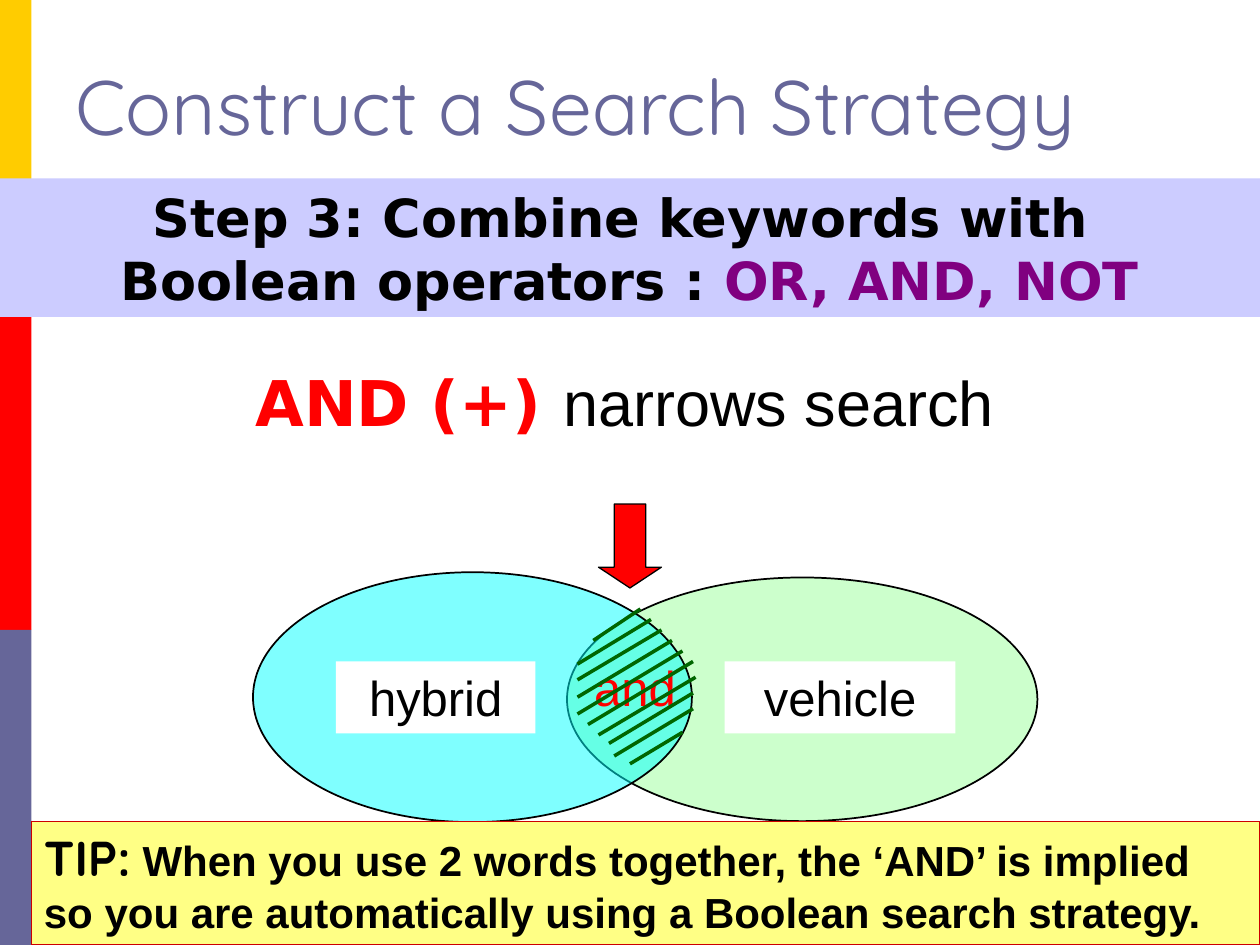
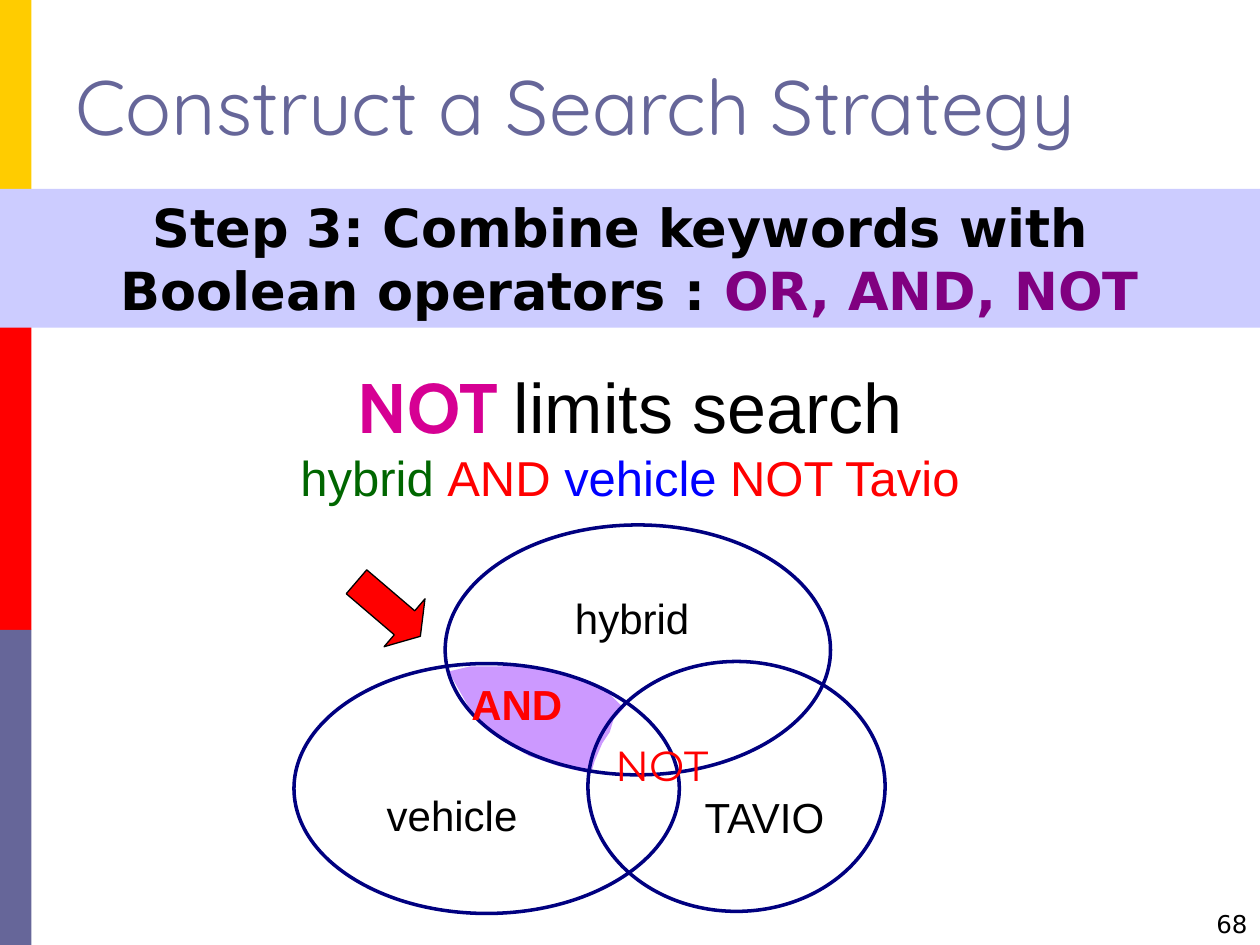
from lxml.etree import SubElement
from pptx import Presentation
from pptx.dml.color import RGBColor
from pptx.enum.shapes import MSO_CONNECTOR, MSO_SHAPE
from pptx.enum.text import MSO_ANCHOR, MSO_AUTO_SIZE, PP_ALIGN
from pptx.oxml.ns import qn
from pptx.util import Inches, Pt

BLACK = RGBColor(0x00, 0x00, 0x00)
WHITE = RGBColor(0xFF, 0xFF, 0xFF)
GOLD = RGBColor(0xFF, 0xCC, 0x00)
RED = RGBColor(0xFF, 0x00, 0x00)
SLATE = RGBColor(0x66, 0x66, 0x99)
LILAC = RGBColor(0xCC, 0xCC, 0xFF)
PURPLE = RGBColor(0x80, 0x00, 0x80)
VIOLET = RGBColor(0xCC, 0x99, 0xFF)
PINK = RGBColor(0xD6, 0x00, 0x93)
MINT = RGBColor(0xCC, 0xFF, 0xCC)
CYAN = RGBColor(0x00, 0xFF, 0xFF)
GREEN = RGBColor(0x00, 0x66, 0x00)
BLUE = RGBColor(0x00, 0x00, 0xFF)
NAVY = RGBColor(0x00, 0x00, 0x80)
LEMON = RGBColor(0xFF, 0xFF, 0x85)
BRICK = RGBColor(0xCC, 0x00, 0x00)

SANS, ARIAL, QUICK = "DejaVu Sans", "Arial", "Quicksand"
LEFT, MID, RIGHT = PP_ALIGN.LEFT, PP_ALIGN.CENTER, PP_ALIGN.RIGHT

deck = Presentation()
deck.slide_width, deck.slide_height = Inches(10), Inches(7.5)
COLS, ROWS = 120, 90
COL, ROW = deck.slide_width / COLS, deck.slide_height / ROWS


def put(page, kind, at, fill=None, line=None, width=1):
    x, y, w, h = at
    area = round(x * COL), round(y * ROW), round(w * COL), round(h * ROW)
    if kind is None:
        return page.shapes.add_textbox(*area)
    shape = page.shapes.add_shape(kind, *area)
    shape.shadow.inherit = False
    if fill is None:
        shape.fill.background()
    else:
        shape.fill.solid()
        shape.fill.fore_color.rgb = fill
    if line is None:
        shape.line.fill.background()
    else:
        shape.line.color.rgb = line
        shape.line.width = Pt(width)
    return shape


def write(shape, rows, align=MID, wrap=True, anchor=MSO_ANCHOR.TOP):
    frame = shape.text_frame
    frame.word_wrap = wrap
    frame.auto_size = MSO_AUTO_SIZE.NONE
    frame.vertical_anchor = anchor
    for i, row in enumerate(rows):
        para = frame.add_paragraph() if i else frame.paragraphs[0]
        para.alignment = align
        for words, size, font, tint, bold in row:
            run = para.add_run()
            run.text = words
            run.font.size = Pt(size)
            run.font.name = font
            run.font.color.rgb = tint
            run.font.bold = bold


pages = []
for layout, top in ((1, 17), (5, 18)):
    page = deck.slides.add_slide(deck.slide_layouts[layout])
    pages.append(page)
    for i, tint in enumerate((GOLD, RED, SLATE)):
        put(page, MSO_SHAPE.RECTANGLE, (0, i * ROWS / 3, 3, ROWS / 3), tint)
    step = put(page, MSO_SHAPE.RECTANGLE, (0, top, COLS, 13.2), LILAC)
    write(step, [
        [("Step 3: Combine keywords with ", 30, SANS, BLACK, True)],
        [("Boolean operators : ", 30, SANS, BLACK, True),
         ("OR, AND, NOT", 30, SANS, PURPLE, True)],
    ])
    title = page.shapes.title
    title.left, title.top = round(6 * COL), 0
    title.width, title.height = round(108 * COL), round(15 * ROW)
    write(title, [[("Construct a Search Strategy", 44, QUICK, SLATE, False)]],
          LEFT, anchor=MSO_ANCHOR.BOTTOM)

both, less = pages

body = both.placeholders[1]
body.left, body.top = 0, round(34 * ROW)
body.width, body.height = round(119 * COL), round(9 * ROW)
write(body, [[("AND (+) ", 36, SANS, RED, True),
              ("narrows search", 36, ARIAL, BLACK, False)]])
props = body.text_frame.paragraphs[0]._p.get_or_add_pPr()
props.set("marL", str(Inches(0.38)))
props.set("indent", str(-Inches(0.38)))
SubElement(props, qn("a:buNone"))

for page, at, turn in ((both, (57, 48, 6, 8), 0),
                       (less, (34, 54, 6, 8), 310.5)):
    arrow = put(page, MSO_SHAPE.DOWN_ARROW, at, RED, BLACK, 0.75)
    arrow.adjustments[1] = 0.33
    arrow.rotation = turn

for word, oval, card, tint in (
    ("vehicle", (54, 55, 44.8, 23.2), (69, 63, 22, 6.86), MINT),
    ("hybrid", (24.1, 54.5, 41.8, 23.8), (32, 63, 19, 6.86), CYAN),
):
    ring = put(both, MSO_SHAPE.OVAL, oval, tint, BLACK)
    if tint == CYAN:
        color = ring.fill._xPr.find(qn("a:solidFill"))[0]
        SubElement(color, qn("a:alpha")).set("val", "50000")
    label = put(both, MSO_SHAPE.RECTANGLE, card, WHITE)
    write(label, [[(word, 28, ARIAL, BLACK, False)]])

label = put(both, None, (55.4, 62, 10.2, 6.86))
write(label, [[("and", 28, ARIAL, RED, False)]], LEFT, False)

for x1, y1, x2, y2 in (
    (56.5, 61, 61, 58), (55, 63.25, 62, 59), (55, 64.75, 63, 60),
    (55, 66.4, 64, 61), (55, 68, 65, 62), (56, 69, 66, 63),
    (57, 70, 66.25, 64.5), (58, 70.8, 66, 66), (58.5, 72, 66, 67.5),
    (60, 72.75, 65, 69.75),
):
    hatch = both.shapes.add_connector(
        MSO_CONNECTOR.STRAIGHT, round(x1 * COL), round(y1 * ROW),
        round(x2 * COL), round(y2 * ROW))
    hatch.line.color.rgb = GREEN
    hatch.line.width = Pt(2)
    SubElement(hatch._element.spPr, qn("a:effectLst"))

tip = put(both, MSO_SHAPE.RECTANGLE, (3, 78.25, 117, 11.75), LEMON, BRICK, 0.75)
write(tip, [[
    ("TIP:", 28, QUICK, BLACK, True),
    (" ", 24, QUICK, BLACK, True),
    ("When you use 2 words together, the ‘AND’ is implied so you are "
     "automatically using a Boolean search strategy.", 24, ARIAL, BLACK, True),
]], LEFT)

count = put(less, None, (92, 86, 28, 4))
write(count, [[("68", 14, SANS, BLACK, False)]], RIGHT)
head = put(less, None, (0, 34, COLS, 9.2))
write(head, [[("NOT ", 40, "Cabin", PINK, True),
              ("limits search", 40, ARIAL, BLACK, False)]])
query = put(less, None, (0, 42, COLS, 6.86))
write(query, [[(word, 28, ARIAL, tint, False) for word, tint in (
    ("hybrid ", GREEN), ("AND ", RED), ("vehicle ", BLUE), ("NOT Tavio", RED))]])

edge = [
    (356, 533), (373, 563), (387, 579), (398, 587), (420, 600), (443, 608),
    (469, 614), (472, 604), (478, 590), (484, 581), (487, 571), (495, 562),
    (479, 546), (459, 540), (444, 534), (433, 532), (411, 528), (396, 529),
    (373, 529),
]
pen = less.shapes.build_freeform(*edge[0], scale=Inches(0.01))
pen.add_line_segments(edge[1:], close=True)
patch = pen.convert_to_shape()
patch.shadow.inherit = False
patch.fill.solid()
patch.fill.fore_color.rgb = VIOLET
patch.line.fill.background()

for x, y, w in ((42.4, 50, 36.7), (28, 63.2, 36.7), (56, 63, 28.3)):
    put(less, MSO_SHAPE.OVAL, (x, y, w, 23.8), None, NAVY, 2)

for word, x, y, w, font, tint, bold, align in (
    ("vehicle", 30.4, 74.6, 25.3, ARIAL, BLACK, False, MID),
    ("hybrid", 49.2, 55.8, 22, ARIAL, BLACK, False, MID),
    ("AND", 43.7, 64, 14.5, ARIAL, RED, True, LEFT),
    ("TAVIO", 62.3, 74.8, 21, ARIAL, BLACK, False, MID),
    ("NOT", 57.4, 69.8, 12, "Montserrat", RED, False, LEFT),
):
    label = put(less, None, (x, y, w, 6))
    write(label, [[(word, 24, font, tint, bold)]], align, word != "NOT")

deck.save("out.pptx")
